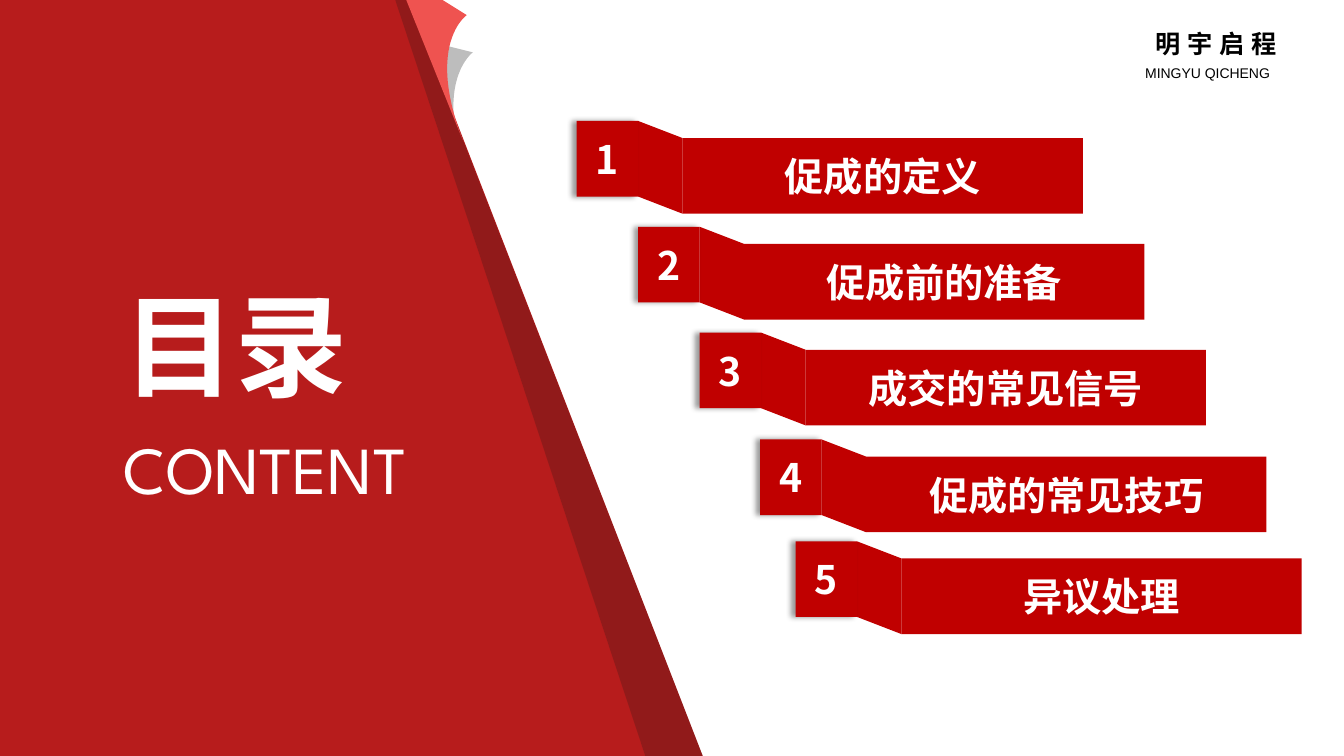
from dataclasses import dataclass

from lxml import etree
from pptx import Presentation
from pptx.dml.color import RGBColor
from pptx.enum.shapes import MSO_SHAPE
from pptx.enum.text import MSO_ANCHOR, PP_ALIGN
from pptx.oxml.ns import qn
from pptx.shapes.autoshape import Shape
from pptx.slide import Slide
from pptx.text.text import TextFrame
from pptx.util import Emu, Pt

RECTANGLE = MSO_SHAPE.RECTANGLE
MIDDLE = MSO_ANCHOR.MIDDLE
LEFT, CENTER = PP_ALIGN.LEFT, PP_ALIGN.CENTER
EMU_PER_PX = 9144  # 100 px to the inch
PAGE_WIDTH, PAGE_HEIGHT = 1333, 750
TAB_WIDTH, BAR_WIDTH, BAR_HEIGHT = 61, 397, 75
BAR_SHIFT, BAR_DROP = 105, 17

Point = tuple[float, float]


@dataclass(frozen=True)
class Theme:
    panel: str = "B71C1C"
    shade: str = "231815"
    grey: str = "BDBDBD"
    coral: str = "EF5350"
    bar: str = "C00000"
    white: str = "FFFFFF"
    black: str = "000000"
    display_font: str = "League Spartan"
    step_font: str = "Noto Sans CJK SC"
    brand_font: str = "Noto Sans CJK JP"
    latin_font: str = "Arial"
    heading_size: int = 80
    subtitle_size: int = 48
    step_size: int = 28
    brand_size: int = 18
    brand_latin_size: int = 10


THEME = Theme()


@dataclass(frozen=True)
class TextStyle:
    size: int
    font: str
    color: str
    bold: bool = False
    align: PP_ALIGN = LEFT
    spacing: int = 0


@dataclass(frozen=True)
class Label:
    text: str
    left: int
    top: int
    width: int
    height: int
    style: TextStyle


@dataclass(frozen=True)
class Step:
    title: str
    left: int
    top: int


STEP_STYLE = TextStyle(THEME.step_size, THEME.step_font, THEME.white, True, CENTER)

LABELS = [
    Label("CONTENT", 113, 419, 377, 91,
          TextStyle(THEME.subtitle_size, THEME.display_font, THEME.white)),
    Label("目录", 113, 269, 270, 145,
          TextStyle(THEME.heading_size, THEME.display_font, THEME.white, True)),
    Label("明宇启程", 1136, 23, 151, 40,
          TextStyle(THEME.brand_size, THEME.brand_font, THEME.black, True, spacing=5)),
    Label("MINGYU QICHENG", 1126, 59, 164, 27,
          TextStyle(THEME.brand_latin_size, THEME.latin_font, THEME.black)),
]

STEPS = [
    Step("促成的定义", 572, 120),
    Step("促成前的准备", 633, 225),
    Step("成交的常见信号", 694, 330),
    Step("促成的常见技巧", 754, 436),
    Step("异议处理", 789, 537),
]


def px(length: float) -> Emu:
    return Emu(round(length * EMU_PER_PX))


def paint(shape: Shape, color: str) -> None:
    shape.shadow.inherit = False
    shape.fill.solid()
    shape.fill.fore_color.rgb = RGBColor.from_string(color)
    shape.line.fill.background()


def write(frame: TextFrame, text: str, style: TextStyle) -> None:
    frame.word_wrap = True
    frame.text = text
    para = frame.paragraphs[0]
    para.alignment = style.align
    span = para.runs[0]
    span.font.size = Pt(style.size)
    span.font.bold = style.bold
    span.font.name = style.font
    span.font.color.rgb = RGBColor.from_string(style.color)
    properties = span.font._element
    etree.SubElement(properties, qn("a:ea"), typeface=style.font)
    if style.spacing:
        properties.set("spc", str(style.spacing * 100))


def curve(start: Point, first: Point, second: Point, end: Point, parts: int = 24) -> list[Point]:
    """Points along a cubic Bézier curve."""
    points = []
    for index in range(parts + 1):
        t = index / parts
        weights = ((1 - t) ** 3, 3 * t * (1 - t) ** 2, 3 * t**2 * (1 - t), t**3)
        controls = (start, first, second, end)
        points.append((sum(w * c[0] for w, c in zip(weights, controls)),
                       sum(w * c[1] for w, c in zip(weights, controls))))
    return points


def add_outline(page: Slide, points: list[Point], color: str) -> Shape:
    corners = [(px(x), px(y)) for x, y in points]
    builder = page.shapes.build_freeform(*corners[0])
    builder.add_line_segments(corners[1:], close=True)
    shape = builder.convert_to_shape()
    paint(shape, color)
    return shape


def add_bar(page: Slide, left: int, top: int, width: int, text: str) -> Shape:
    bar = page.shapes.add_shape(RECTANGLE, px(left), px(top), px(width), px(BAR_HEIGHT))
    paint(bar, THEME.bar)
    bar.text_frame.vertical_anchor = MIDDLE
    write(bar.text_frame, text, STEP_STYLE)
    return bar


def cast_shadow_left(shape: Shape) -> None:
    effects = shape._element.spPr.find(qn("a:effectLst"))
    shadow = etree.SubElement(effects, qn("a:outerShdw"), blurRad=str(Pt(4)),
                              dist=str(Pt(3)), dir="10800000", algn="r", rotWithShape="0")
    color = etree.SubElement(shadow, qn("a:srgbClr"), val=THEME.black)
    etree.SubElement(color, qn("a:alpha"), val="40000")


def add_step(page: Slide, number: int, step: Step) -> None:
    """A numbered tab joined to its title bar by a slanted fold."""
    fold_left, bar_left = step.left + TAB_WIDTH, step.left + BAR_SHIFT
    bar_top = step.top + BAR_DROP
    add_bar(page, bar_left, bar_top, BAR_WIDTH, step.title)
    add_outline(page, [(fold_left, step.top), (fold_left, step.top + BAR_HEIGHT),
                       (bar_left, bar_top + BAR_HEIGHT), (bar_left, bar_top)], THEME.bar)
    cast_shadow_left(add_bar(page, step.left, step.top, TAB_WIDTH, str(number)))


def add_side_panel(page: Slide) -> None:
    add_outline(page, [(0, 0), (406, 0), (697, PAGE_HEIGHT), (0, PAGE_HEIGHT)], THEME.panel)
    edge = add_outline(page, [(392, 0), (405, 0), (697, PAGE_HEIGHT), (640, PAGE_HEIGHT)],
                       THEME.shade)
    color = edge._element.spPr.find(qn("a:solidFill"))[0]
    etree.SubElement(color, qn("a:alpha"), val="25000")
    add_outline(page, [(421, 40), *curve((469, 52), (469, 52), (447, 68), (450, 114))],
                THEME.grey)
    add_outline(page, [*curve((459, 139), (422, 43), (463, 15), (463, 15)),
                       (439, 0), (403, 0)], THEME.coral)


def main() -> None:
    deck = Presentation()
    deck.slide_width, deck.slide_height = px(PAGE_WIDTH), px(PAGE_HEIGHT)
    page = deck.slides.add_slide(deck.slide_layouts[6])
    add_side_panel(page)
    for label in LABELS:
        box = page.shapes.add_textbox(px(label.left), px(label.top),
                                      px(label.width), px(label.height))
        write(box.text_frame, label.text, label.style)
    for number, step in enumerate(STEPS, start=1):
        add_step(page, number, step)
    deck.save("out.pptx")


if __name__ == "__main__":
    main()
